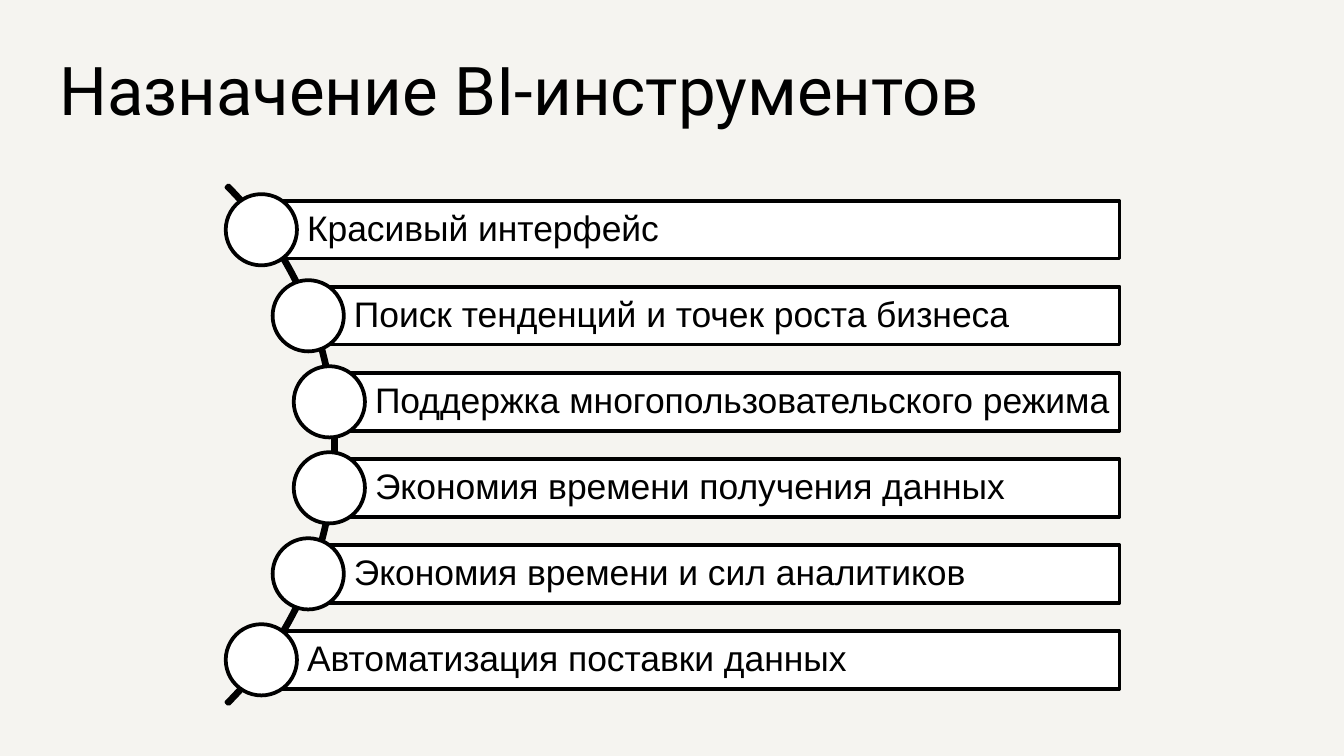
from dataclasses import dataclass
from math import sqrt

from pptx import Presentation
from pptx import util as u
from pptx.dml.color import RGBColor
from pptx.enum import shapes, text


@dataclass(frozen=True)
class Theme:
    paper: RGBColor = RGBColor(0xF5, 0xF4, 0xF0)
    ink: RGBColor = RGBColor(0, 0, 0)
    fill: RGBColor = RGBColor(0xFF, 0xFF, 0xFF)
    title_font: str = "Roboto"
    body_font: str = "Arial"
    title_size: float = 36
    body_size: float = 19
    line_width: float = 2


@dataclass(frozen=True)
class Purpose:
    label: str
    center_x: float
    center_y: float


THEME = Theme()
TITLE = "Назначение BI-инструментов"
LABELS = (
    "Красивый интерфейс",
    "Поиск тенденций и точек роста бизнеса",
    "Поддержка многопользовательского режима",
    "Экономия времени получения данных",
    "Экономия времени и сил аналитиков",
    "Автоматизация поставки данных",
)
ARC_X, ARC_Y, ARC_RADIUS = -0.23, 3.31, 2.73
NODE_RADIUS = 2.7  # the circle centres run just inside the arc
PITCH = 0.64
BAR_RIGHT, BAR_HEIGHT, DOT = 8.33, 0.43, 0.53


def place_purposes() -> list[Purpose]:
    """Spread the labels evenly in height, with their circles along the arc."""
    middle = (len(LABELS) - 1) / 2
    offsets = [(index - middle) * PITCH for index in range(len(LABELS))]
    return [
        Purpose(label, ARC_X + sqrt(NODE_RADIUS**2 - dy**2), ARC_Y + dy)
        for label, dy in zip(LABELS, offsets)
    ]


def write(frame, content: str, *, font: str, size: float, anchor,
          margins: tuple[float, float, float, float], spacing: float = 1.0) -> None:
    """Fill a text frame; margins are left, top, right, bottom."""
    frame.word_wrap = True
    frame.auto_size = text.MSO_AUTO_SIZE.NONE
    frame.vertical_anchor = anchor
    (frame.margin_left, frame.margin_top,
     frame.margin_right, frame.margin_bottom) = map(u.Inches, margins)
    para = frame.paragraphs[0]
    para.alignment = text.PP_ALIGN.LEFT
    para.line_spacing = spacing
    span = para.add_run()
    span.text = content
    span.font.name = font
    span.font.size = u.Pt(size)
    span.font.color.rgb = THEME.ink


def add_outlined(group, kind, left: float, top: float, width: float, height: float,
                 *, filled: bool = True):
    shape = group.shapes.add_shape(kind, *map(u.Inches, (left, top, width, height)))
    shape.shadow.inherit = False
    if filled:
        shape.fill.solid()
        shape.fill.fore_color.rgb = THEME.fill
    else:
        shape.fill.background()
    shape.line.color.rgb = THEME.ink
    shape.line.width = u.Pt(THEME.line_width)
    return shape


def draw_arc(group) -> None:
    arc = add_outlined(group, shapes.MSO_SHAPE.BLOCK_ARC, ARC_X - ARC_RADIUS,
                       ARC_Y - ARC_RADIUS, 2 * ARC_RADIUS, 2 * ARC_RADIUS, filled=False)
    for index, value in enumerate((189, 27, 0.004)):
        arc.adjustments[index] = value


def draw_purpose(group, purpose: Purpose) -> None:
    bar = add_outlined(group, shapes.MSO_SHAPE.RECTANGLE, purpose.center_x,
                       purpose.center_y - BAR_HEIGHT / 2,
                       BAR_RIGHT - purpose.center_x, BAR_HEIGHT)
    write(bar.text_frame, purpose.label, font=THEME.body_font, size=THEME.body_size,
          anchor=text.MSO_ANCHOR.MIDDLE, margins=(0.34, 0.05, 0.05, 0.05), spacing=0.9)
    add_outlined(group, shapes.MSO_SHAPE.OVAL, purpose.center_x - DOT / 2,
                 purpose.center_y - DOT / 2, DOT, DOT)


def main() -> None:
    deck = Presentation()
    deck.slide_width = u.Inches(10)
    deck.slide_height = u.Inches(10 * 9 / 16)
    slide = deck.slides.add_slide(deck.slide_layouts.get_by_name("Title Only"))
    slide.background.fill.solid()
    slide.background.fill.fore_color.rgb = THEME.paper

    title = slide.shapes.title
    title.left, title.top, title.width, title.height = map(
        u.Inches, (0.34, 0.21, 9.32, 0.85))
    write(title.text_frame, TITLE, font=THEME.title_font, size=THEME.title_size,
          anchor=text.MSO_ANCHOR.BOTTOM, margins=(0.1, 0.1, 0.1, 0.1))

    group = slide.shapes.add_group_shape()
    draw_arc(group)
    for purpose in place_purposes():
        draw_purpose(group, purpose)
    deck.save("out.pptx")


if __name__ == "__main__":
    main()
